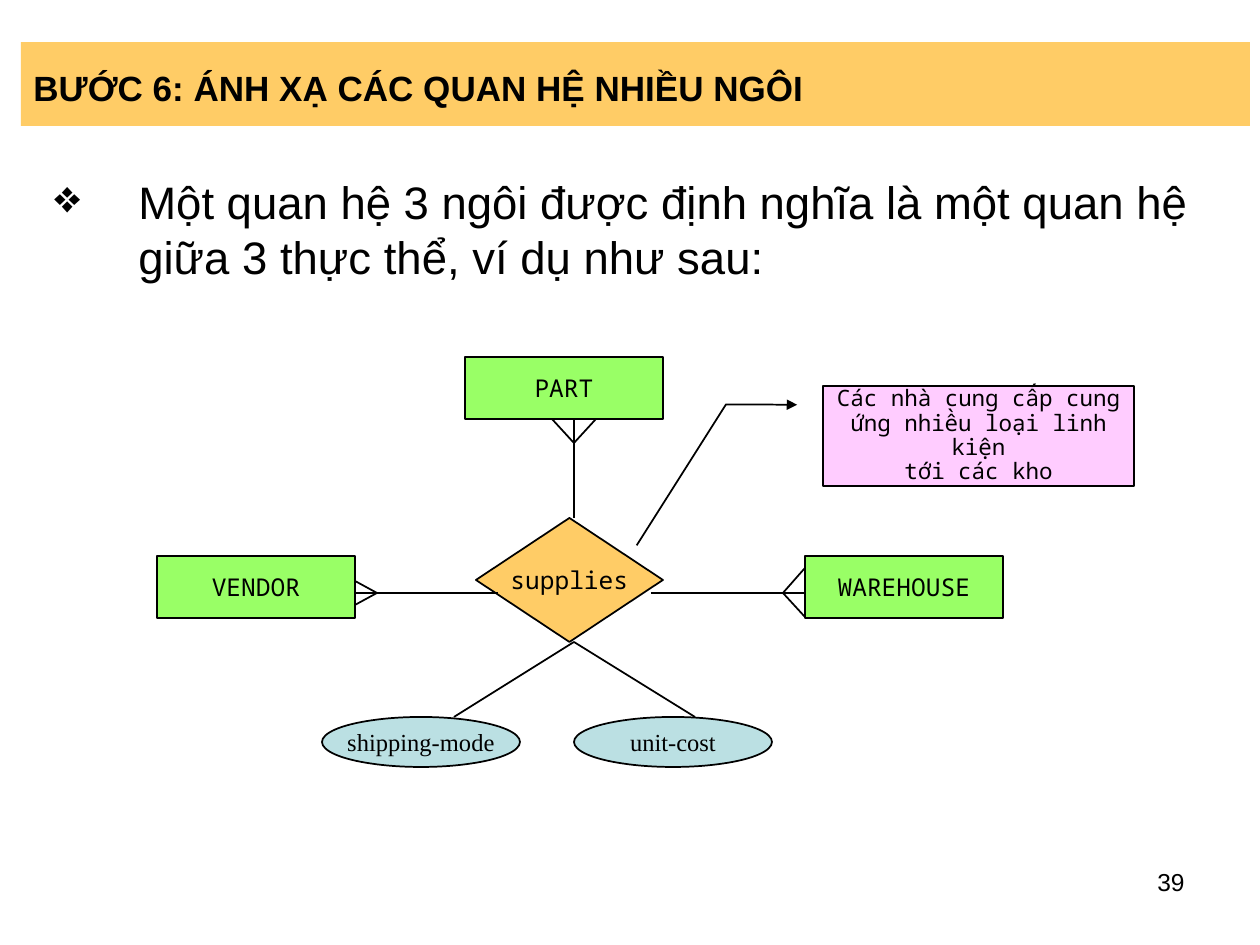
from lxml import etree
from pptx import Presentation
from pptx import util as u
from pptx.dml.color import RGBColor
from pptx.enum import shapes, text
from pptx.oxml.ns import qn

PX = 914400 // 126
SHAPE, ALIGN = shapes.MSO_SHAPE, text.PP_ALIGN
MONO, SERIF, SANS = "Noto Sans Mono", "Times New Roman", "Arial"
BLACK, GREEN, ORANGE, BLUE, PINK = "000000", "99FF66", "FFCC66", "BBE0E3", "FFCCFF"


def px(*values):
    return [u.Emu(v * PX) for v in values]


def color(value):
    return RGBColor.from_string(value)


def write(sp, content, size, font, bold=False, align=ALIGN.LEFT,
          anchor=text.MSO_ANCHOR.MIDDLE, wrap=True, spacing=None):
    tf = sp.text_frame
    tf.word_wrap = wrap
    tf.vertical_anchor = anchor
    for i, line in enumerate(content.split("\n")):
        p = tf.add_paragraph() if i else tf.paragraphs[0]
        p.alignment = align
        if spacing:
            p.line_spacing = spacing
        r = p.add_run()
        r.text = line
        r.font.size, r.font.name, r.font.bold = u.Pt(size), font, bold
        r.font.color.rgb = color(BLACK)
    return tf


def add_box(parent, kind, box, fill, outlined=True):
    sp = parent.add_shape(kind, *px(*box))
    sp.shadow.inherit = False
    sp.fill.solid()
    sp.fill.fore_color.rgb = color(fill)
    if outlined:
        sp.line.color.rgb = color(BLACK)
        sp.line.width = u.Pt(1)
    else:
        sp.line.fill.background()
    return sp


def add_path(parent, x, y, points):
    """Join consecutive points with straight connectors."""
    for (x1, y1), (x2, y2) in zip(points, points[1:]):
        line = parent.add_connector(shapes.MSO_CONNECTOR.STRAIGHT,
                                    *px(x + x1, y + y1, x + x2, y + y2))
        line.line.color.rgb = color(BLACK)
        line.line.width = u.Pt(1)
        etree.SubElement(line._element.spPr, qn("a:effectLst"))


def add_title(s, box):
    sp = add_box(s.shapes, SHAPE.RECTANGLE, box, ORANGE, outlined=False)
    write(sp, "BƯỚC 6: ÁNH XẠ CÁC QUAN HỆ NHIỀU NGÔI", 20, SANS, bold=True, spacing=1.15)


def add_body(s, box):
    sp = s.shapes.add_textbox(*px(*box))
    tf = write(sp, "Một quan hệ 3 ngôi được định nghĩa là một quan hệ giữa 3 thực thể, "
               "ví dụ như sau:", 26, SANS, anchor=text.MSO_ANCHOR.TOP)
    # Hanging bullet
    pPr = tf.paragraphs[0]._p.get_or_add_pPr()
    indent = 84 * PX
    pPr.set("marL", str(indent))
    pPr.set("indent", str(-indent))
    bullet_color = etree.SubElement(pPr, qn("a:buClr"))
    etree.SubElement(bullet_color, qn("a:srgbClr"), val=BLACK)
    etree.SubElement(pPr, qn("a:buChar"), char="❖")


def add_callout(parent, box):
    sp = add_box(parent, SHAPE.LINE_CALLOUT_2, box, PINK)
    for i, value in enumerate((0.188, -0.083, 0.185, -0.312, 1.594, -0.599)):
        sp.adjustments[i] = value
    etree.SubElement(sp.line._get_or_add_ln(), qn("a:headEnd"), type="triangle")
    write(sp, "Các nhà cung cấp cung ứng nhiều loại linh kiện\ntới các kho",
          12.9, MONO, align=ALIGN.CENTER, spacing=0.9)


def add_diagram(s, x, y):
    parent = s.shapes.add_group_shape().shapes
    # Entities, relationship and attributes
    nodes = [
        ("PART", SHAPE.RECTANGLE, (308, 0, 198, 62), GREEN, MONO),
        ("VENDOR", SHAPE.RECTANGLE, (0, 199, 198, 62), GREEN, MONO),
        ("WAREHOUSE", SHAPE.RECTANGLE, (648, 199, 198, 62), GREEN, MONO),
        ("supplies", SHAPE.DIAMOND, (319, 161, 187, 124), ORANGE, MONO),
        ("shipping-mode", SHAPE.OVAL, (165, 360, 198, 50), BLUE, SERIF),
        ("unit-cost", SHAPE.OVAL, (417, 360, 198, 50), BLUE, SERIF),
    ]
    for label, kind, (left, top, w, h), fill, font in nodes:
        sp = add_box(parent, kind, (x + left, y + top, w, h), fill)
        write(sp, label, 14, font, align=ALIGN.CENTER, wrap=False)
    # Links, crow's feet and attribute lines
    paths = [
        [(198, 236), (341, 236)],
        [(494, 236), (648, 236)],
        [(417, 161), (417, 62)],
        [(395, 62), (417, 86), (439, 62)],
        [(198, 224), (220, 236), (198, 248)],
        [(648, 211), (626, 236), (648, 260)],
        [(297, 360), (417, 285), (538, 360)],
    ]
    for points in paths:
        add_path(parent, x, y, points)
    add_callout(parent, (x + 666, y + 29, 311, 100))


def add_page_number(s, box):
    sp = s.shapes.add_textbox(*px(*box))
    write(sp, "39", 14, SANS, align=ALIGN.RIGHT, anchor=text.MSO_ANCHOR.TOP)


def main():
    prs = Presentation()
    prs.slide_width, prs.slide_height = u.Inches(10), u.Inches(7.5)
    s = prs.slides.add_slide(prs.slide_layouts[6])
    add_title(s, (21, 42, 1229, 84))
    add_body(s, (42, 168, 1187, 777))
    add_diagram(s, 157, 357)
    add_page_number(s, (903, 861, 294, 66))
    prs.save("out.pptx")


if __name__ == "__main__":
    main()
